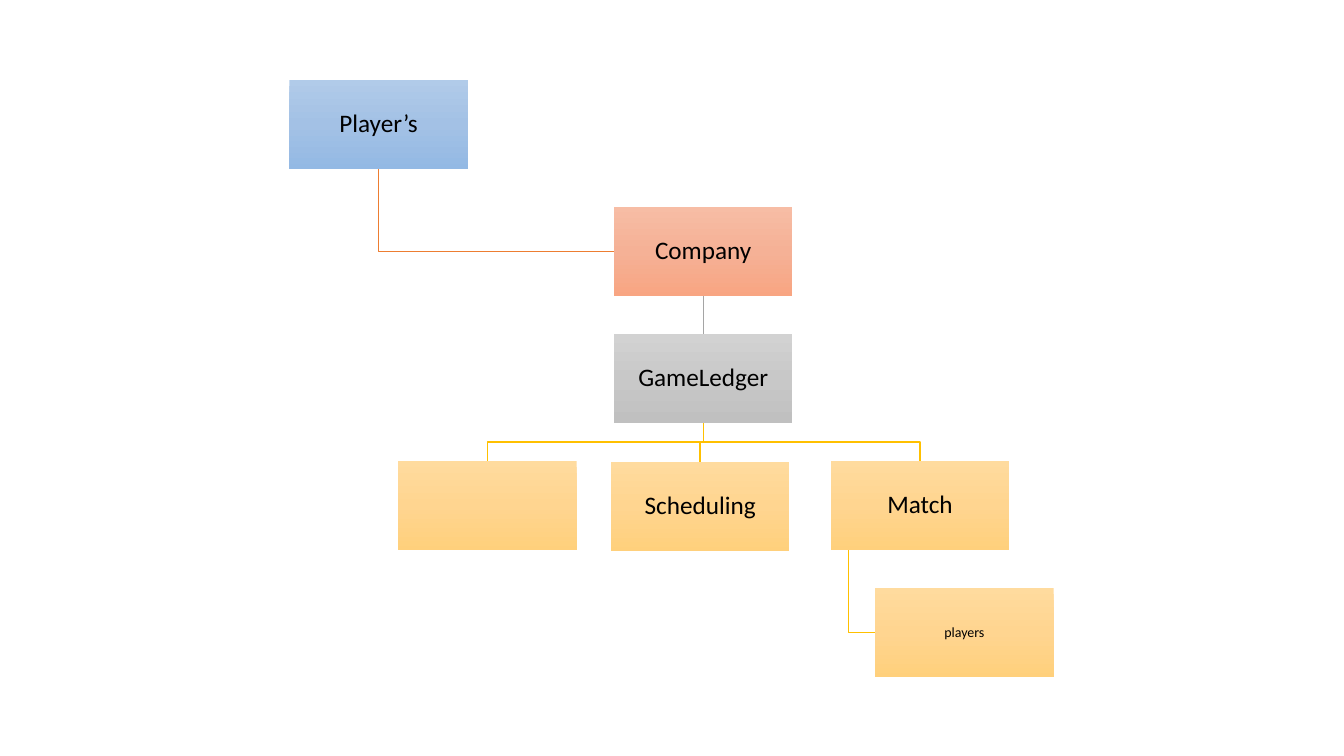
"""Build the organisation chart slide."""
from copy import deepcopy
from dataclasses import dataclass

from pptx import Presentation
from pptx.dml.color import RGBColor
from pptx.enum import shapes, text
from pptx.oxml.ns import qn
from pptx.oxml.xmlchemy import OxmlElement
from pptx.util import Inches, Pt

BLACK = RGBColor(0x00, 0x00, 0x00)
ORANGE = RGBColor(0xED, 0x7D, 0x31)
GREY = RGBColor(0xA5, 0xA5, 0xA5)
GOLD = RGBColor(0xFF, 0xC0, 0x00)
BLUE_FILL = (RGBColor(0xB1, 0xCB, 0xE9), RGBColor(0xA3, 0xC1, 0xE5), RGBColor(0x93, 0xB9, 0xE4))
ORANGE_FILL = (RGBColor(0xF7, 0xBD, 0xA5), RGBColor(0xF5, 0xB1, 0x96), RGBColor(0xF8, 0xA5, 0x82))
GREY_FILL = (RGBColor(0xD2, 0xD2, 0xD2), RGBColor(0xC8, 0xC8, 0xC8), RGBColor(0xC0, 0xC0, 0xC0))
GOLD_FILL = (RGBColor(0xFF, 0xDB, 0x9E), RGBColor(0xFF, 0xD5, 0x90), RGBColor(0xFF, 0xD0, 0x7C))

BOX_W, BOX_H = 1.77, 0.89
TOPS = [0.79 + 1.26 * row for row in range(5)]
Point = tuple[float, float]


@dataclass(frozen=True)
class Box:
    """A chart box, placed in inches."""
    label: str
    left: float
    top: float
    fill: tuple[RGBColor, RGBColor, RGBColor]
    size: int = 18

    @property
    def head(self) -> Point:
        """Return the middle of the top edge."""
        return self.left + BOX_W / 2, self.top

    @property
    def foot(self) -> Point:
        """Return the middle of the bottom edge."""
        return self.left + BOX_W / 2, self.top + BOX_H

    @property
    def side(self) -> Point:
        """Return the middle of the left edge."""
        return self.left, self.top + BOX_H / 2


def tee(parent: Box, child: Box) -> list[Point]:
    """Route from a parent's foot to a child's head with a level middle part."""
    (x1, y1), (x2, y2) = parent.foot, child.head
    middle = (y1 + y2) / 2
    return [(x1, y1), (x1, middle), (x2, middle), (x2, y2)]


def corner(start: Point, end: Point) -> list[Point]:
    """Route straight down and then across."""
    return [start, (start[0], end[1]), end]


def draw_link(s, points: list[Point], color: RGBColor) -> None:
    """Draw a straight connector or an open bent line."""
    emu = [(Inches(x), Inches(y)) for x, y in points]
    if len(emu) == 2:
        sp = s.shapes.add_connector(shapes.MSO_CONNECTOR.STRAIGHT, *emu[0], *emu[1])
        sp._element.spPr.append(OxmlElement("a:effectLst"))
    else:
        builder = s.shapes.build_freeform(*emu[0])
        builder.add_line_segments(emu[1:], close=False)
        sp = builder.convert_to_shape()
        sp.fill.background()
        sp.shadow.inherit = False
    sp.line.color.rgb = color
    sp.line.width = Pt(1)


def draw_box(s, box: Box) -> None:
    """Draw a gradient box with its centred label."""
    sp = s.shapes.add_shape(shapes.MSO_SHAPE.RECTANGLE, Inches(box.left), Inches(box.top),
                            Inches(BOX_W), Inches(BOX_H))
    sp.line.fill.background()
    sp.fill.gradient()
    sp.fill.gradient_angle = 270
    stops = sp._element.spPr.find(qn("a:gradFill")).find(qn("a:gsLst"))
    stops.insert(1, deepcopy(stops[0]))
    for stop, color, position in zip(sp.fill.gradient_stops, box.fill, (0, 0.5, 1)):
        stop.color.rgb = color
        stop.position = position
    sp.shadow.inherit = False
    if not box.label:
        return
    tf = sp.text_frame
    margins = dict.fromkeys(("margin_left", "margin_top", "margin_right", "margin_bottom"), Inches(0.01))
    frame = {"word_wrap": True, "vertical_anchor": text.MSO_ANCHOR.MIDDLE, **margins}
    p = tf.paragraphs[0]
    r = p.add_run()
    r.text = box.label
    r.font.color.rgb = BLACK
    formats = ((tf, frame),
               (p, {"alignment": text.PP_ALIGN.CENTER, "line_spacing": 0.9}),
               (r.font, {"name": "Calibri", "size": Pt(box.size)}))
    for target, values in formats:
        for name, value in values.items():
            setattr(target, name, value)


def main() -> None:
    """Place the boxes and links and save the slide."""
    prs = Presentation()
    prs.slide_width, prs.slide_height = Inches(13.33), Inches(7.5)
    s = prs.slides.add_slide(prs.slide_layouts[6])

    owners = Box("Player’s", 2.87, TOPS[0], BLUE_FILL)
    company = Box("Company", 6.09, TOPS[1], ORANGE_FILL)
    product = Box("GameLedger", 6.09, TOPS[2], GREY_FILL)
    match = Box("Match", 8.24, TOPS[3], GOLD_FILL)
    players = Box("players", 8.68, TOPS[4], GOLD_FILL, 10)
    scheduling = Box("Scheduling", 6.06, TOPS[3] + 0.01, GOLD_FILL)
    unnamed = Box("", 3.95, TOPS[3], GOLD_FILL)

    match_foot = (match.left + BOX_W / 10, match.foot[1])
    links = [(tee(product, child), GOLD) for child in (unnamed, scheduling, match)]
    links += [(corner(match_foot, players.side), GOLD),
              ([company.foot, product.head], GREY),
              (corner(owners.foot, company.side), ORANGE)]
    for points, color in links:
        draw_link(s, points, color)
    for box in (owners, company, product, match, players, scheduling, unnamed):
        draw_box(s, box)
    prs.save("out.pptx")


main()
